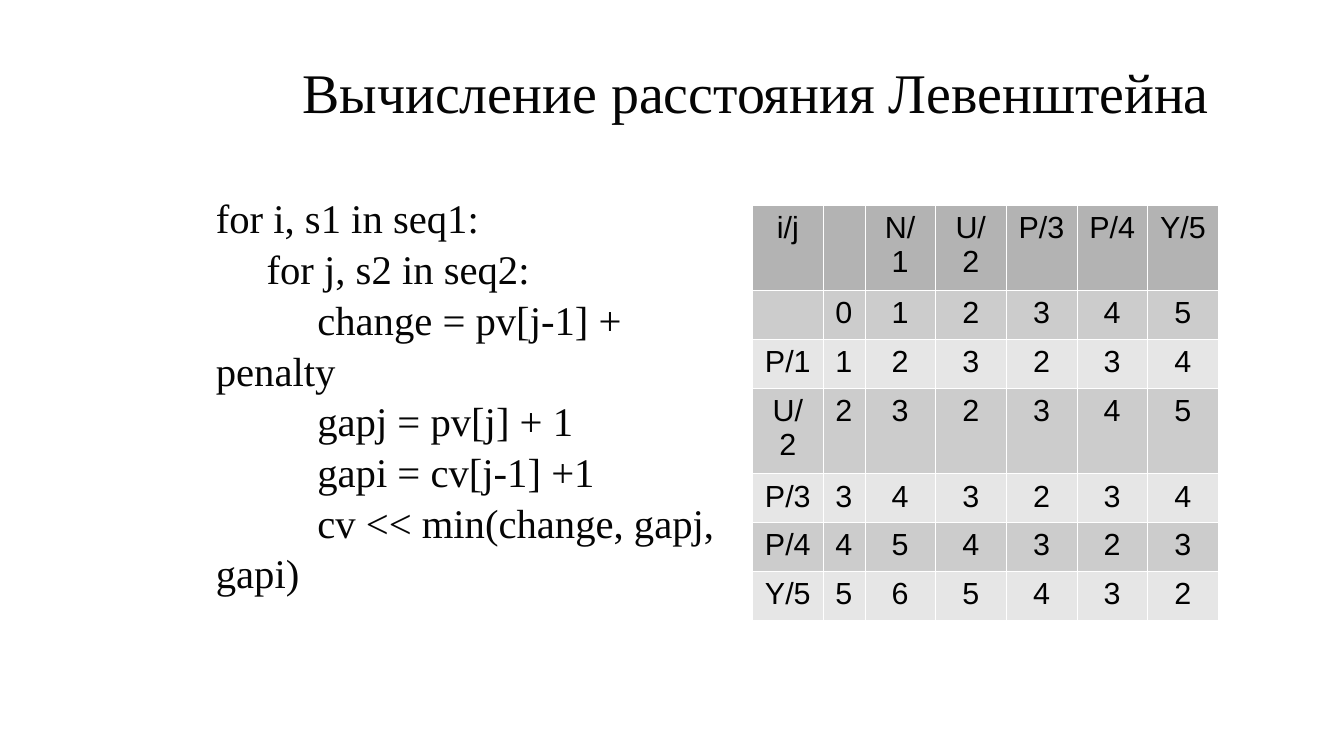
from lxml.etree import SubElement
from pptx import Presentation
from pptx.dml.color import RGBColor
from pptx.enum.text import MSO_ANCHOR as Anchor, MSO_AUTO_SIZE as AutoSize, PP_ALIGN as Align
from pptx.oxml.ns import qn
from pptx.util import Inches, Pt

TITLE = "Вычисление расстояния Левенштейна"
CODE = """for i, s1 in seq1:
     for j, s2 in seq2:
          change = pv[j-1] + penalty
          gapj = pv[j] + 1
          gapi = cv[j-1] +1
          cv << min(change, gapj, gapi)"""
DISTANCES = [
    ["i/j", "", "N/1", "U/2", "P/3", "P/4", "Y/5"],
    ["", 0, 1, 2, 3, 4, 5],
    ["P/1", 1, 2, 3, 2, 3, 4],
    ["U/2", 2, 3, 2, 3, 4, 5],
    ["P/3", 3, 4, 3, 2, 3, 4],
    ["P/4", 4, 5, 4, 3, 2, 3],
    ["Y/5", 5, 6, 5, 4, 3, 2],
]
COLUMN_WIDTHS = [0.58, 0.34] + [0.58] * 5
ROW_HEIGHT = 0.38
HEADER_FILL = "B3B3B3"
BAND_FILLS = ["E6E6E6", "CCCCCC"]


def color(hex_string):
    return RGBColor.from_string(hex_string)


def write(frame, text, *, size, font="Times New Roman", ink="050505",
          align=Align.LEFT, spacing=1.0):
    """Fill a text frame with one paragraph per line of text."""
    frame.word_wrap = True
    for index, line in enumerate(text.split("\n")):
        paragraph = frame.add_paragraph() if index else frame.paragraphs[0]
        paragraph.alignment = align
        paragraph.line_spacing = spacing
        paragraph.space_before = Pt(0)
        if not line:
            continue
        run = paragraph.add_run()
        run.text = line
        run.font.size = Pt(size)
        run.font.name = font
        run.font.color.rgb = color(ink)


def clear_insets(frame):
    frame.margin_left = frame.margin_top = Inches(0)
    frame.margin_right = frame.margin_bottom = Inches(0)


def add_title(slide):
    title = slide.shapes.title
    title.left, title.top = Inches(1.77), Inches(0.24)
    title.width, title.height = Inches(8.86), Inches(1.02)
    frame = title.text_frame
    clear_insets(frame)
    frame.auto_size = AutoSize.NONE
    frame.vertical_anchor = Anchor.MIDDLE
    write(frame, TITLE, size=33, align=Align.CENTER)


def add_code(slide):
    box = slide.shapes.add_textbox(Inches(1.77), Inches(1.57), Inches(4.13), Inches(3.86))
    clear_insets(box.text_frame)
    write(box.text_frame, CODE, size=24, spacing=1.04)


def add_borders(cell, hex_string, width):
    properties = cell._tc.get_or_add_tcPr()
    for side in ("a:lnL", "a:lnR", "a:lnT", "a:lnB"):
        line = SubElement(properties, qn(side), w=str(Pt(width)))
        fill = SubElement(line, qn("a:solidFill"))
        SubElement(fill, qn("a:srgbClr"), val=hex_string)


def add_distance_table(slide):
    table = slide.shapes.add_table(
        len(DISTANCES), len(COLUMN_WIDTHS), Inches(6.17), Inches(1.68),
        Inches(sum(COLUMN_WIDTHS)), Inches(ROW_HEIGHT * len(DISTANCES))).table
    for column, width in zip(table.columns, COLUMN_WIDTHS):
        column.width = Inches(width)
    for row_index, values in enumerate(DISTANCES):
        table.rows[row_index].height = Inches(ROW_HEIGHT)
        row_fill = BAND_FILLS[row_index % 2] if row_index else HEADER_FILL
        for column_index, value in enumerate(values):
            cell = table.cell(row_index, column_index)
            cell.margin_left = cell.margin_right = Inches(0.1)
            cell.margin_top = cell.margin_bottom = Inches(0.05)
            add_borders(cell, "FFFFFF", 0.06)
            cell.fill.solid()
            cell.fill.fore_color.rgb = color(row_fill)
            write(cell.text_frame, str(value), size=18, font="Arial",
                  ink="000000", align=Align.CENTER)


def main():
    presentation = Presentation()
    presentation.slide_width = Inches(11.02)
    presentation.slide_height = Inches(6.2)
    title_only = presentation.slide_layouts[5]
    slide = presentation.slides.add_slide(title_only)
    add_title(slide)
    add_code(slide)
    add_distance_table(slide)
    presentation.save("out.pptx")


if __name__ == "__main__":
    main()
